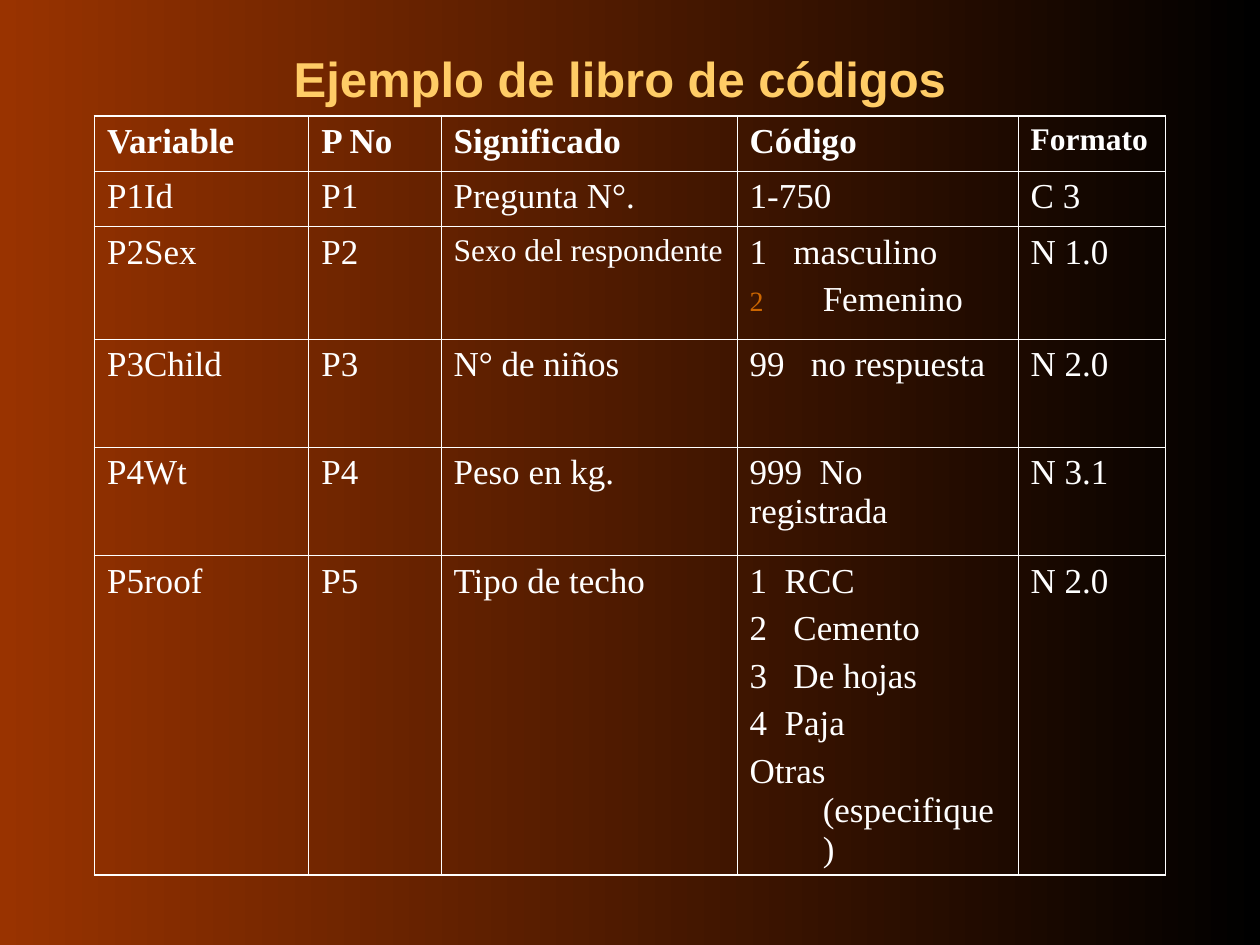
from lxml import etree
from pptx import Presentation
from pptx.dml.color import RGBColor
from pptx.enum.text import MSO_ANCHOR, PP_ALIGN
from pptx.oxml.ns import qn
from pptx.util import Inches, Pt

CENTER = PP_ALIGN.CENTER
MIDDLE = MSO_ANCHOR.MIDDLE

RUST = RGBColor(0x99, 0x33, 0x00)
BLACK = RGBColor(0x00, 0x00, 0x00)
GOLD = RGBColor(0xFF, 0xCC, 0x66)
WHITE = RGBColor(0xFF, 0xFF, 0xFF)
ORANGE = RGBColor(0xCC, 0x66, 0x00)

HEAD = "Arial"
BODY = "Times New Roman"
THIN, THICK = 0.45, 1.08
HANG = Inches(0.58)

COLS = [1.7, 1.05, 2.35, 2.23, 1.17]
ROWS = [0.44, 0.44, 0.89, 0.86, 0.86, 2.38]

# One list per cell, one entry per paragraph
CODES = [
    [["Variable"], ["P No"], ["Significado"], ["Código"], ["Formato"]],
    [["P1Id"], ["P1"], ["Pregunta N°."], ["1-750"], ["C 3"]],
    [["P2Sex"], ["P2"], ["Sexo del respondente"],
     ["1   masculino", "Femenino"], ["N 1.0"]],
    [["P3Child"], ["P3"], ["N° de niños"], ["99   no respuesta"], ["N 2.0"]],
    [["P4Wt"], ["P4"], ["Peso en kg."], ["999  No registrada"], ["N 3.1"]],
    [["P5roof"], ["P5"], ["Tipo de techo"],
     ["1  RCC", "2   Cemento", "3   De hojas", "4  Paja",
      "Otras (especifique)"], ["N 2.0"]],
]
SMALL = {"Formato", "Sexo del respondente"}
NUMBERED = "Femenino"


def add_run(para, text, font, size, color, bold):
    run = para.add_run()
    run.text = text
    run.font.name = font
    run.font.size = Pt(size)
    run.font.color.rgb = color
    run.font.bold = bold


def add_back(slide):
    fill = slide.background.fill
    fill.gradient()
    fill.gradient_angle = 0
    for stop, color, place in zip(fill.gradient_stops, (RUST, BLACK), (0, 1)):
        stop.color.rgb = color
        stop.position = place


def add_title(slide, text):
    title = slide.shapes.title
    title.left, title.top = Inches(0.67), Inches(0.33)
    title.width, title.height = Inches(8.5), Inches(0.58)
    frame = title.text_frame
    frame.word_wrap = True
    frame.vertical_anchor = MIDDLE
    para = frame.paragraphs[0]
    para.alignment = CENTER
    add_run(para, text, HEAD, 28, GOLD, True)


def set_edge(cell, side, width):
    props = cell._tc.get_or_add_tcPr()
    line = etree.SubElement(props, qn("a:ln" + side), w=str(Pt(width)))
    fill = etree.SubElement(line, qn("a:solidFill"))
    etree.SubElement(fill, qn("a:srgbClr"), val=str(WHITE))


def set_hang(para):
    props = para._p.get_or_add_pPr()
    props.set("marL", str(HANG))
    props.set("indent", str(-HANG))


def set_number(para, start):
    props = para._p.get_or_add_pPr()
    color = etree.SubElement(props, qn("a:buClr"))
    etree.SubElement(color, qn("a:srgbClr"), val=str(ORANGE))
    etree.SubElement(props, qn("a:buSzPct"), val="80000")
    etree.SubElement(props, qn("a:buAutoNum"), type="arabicPlain",
                     startAt=str(start))


def fill_cell(cell, lines, bold):
    frame = cell.text_frame
    for i, text in enumerate(lines):
        para = frame.paragraphs[0] if i == 0 else frame.add_paragraph()
        size = 18 if text in SMALL else 20
        para.space_before = Pt(size / 4)
        if len(lines) > 1:
            set_hang(para)
        if text == NUMBERED:
            set_number(para, i + 1)
        add_run(para, text, BODY, size, WHITE, bold)


def add_codes(slide):
    frame = slide.shapes.add_table(
        len(ROWS), len(COLS), Inches(0.75), Inches(0.92),
        Inches(sum(COLS)), Inches(sum(ROWS)))
    table = frame.table
    table.first_row = table.horz_banding = False
    for col, width in zip(table.columns, COLS):
        col.width = Inches(width)
    for row, height in zip(table.rows, ROWS):
        row.height = Inches(height)
    for r, row in enumerate(CODES):
        for c, lines in enumerate(row):
            cell = table.cell(r, c)
            # Thick lines only on the outer frame
            edges = {"L": c == 0, "R": c == len(COLS) - 1,
                     "T": r == 0, "B": r == len(ROWS) - 1}
            for side, outer in edges.items():
                set_edge(cell, side, THICK if outer else THIN)
            cell.fill.background()
            fill_cell(cell, lines, r == 0)


def main():
    deck = Presentation()
    deck.slide_width, deck.slide_height = Inches(10), Inches(7.5)
    slide = deck.slides.add_slide(deck.slide_layouts[5])
    add_back(slide)
    add_title(slide, "Ejemplo de libro de códigos")
    add_codes(slide)
    deck.save("out.pptx")


if __name__ == "__main__":
    main()
